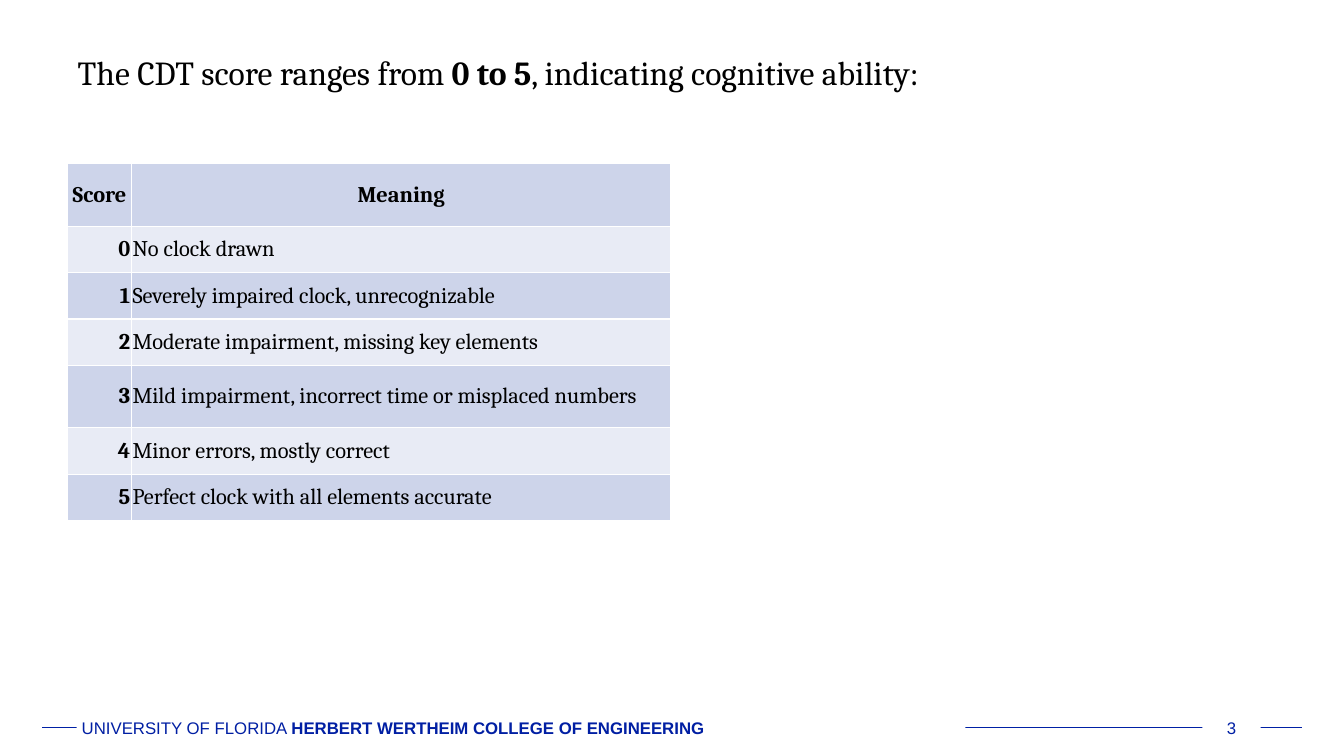
from lxml import etree
from pptx import Presentation
from pptx import util as u
from pptx.dml.color import RGBColor
from pptx.enum import shapes, text
from pptx.oxml.ns import qn

COLORS = {"ink": "000000", "white": "FFFFFF", "blue": "0020A5",
          "navy": "011FA3", "dark": "CDD4EA", "light": "E8EBF5"}
ALIGN = text.PP_ALIGN
MID = text.MSO_ANCHOR.MIDDLE


def rgb(name):
    return RGBColor.from_string(COLORS[name])


def write(para, words, font="Cambria", size=24, color="ink", bold=False):
    run = para.add_run()
    run.text = words
    run.font.name = font
    run.font.size = u.Pt(size)
    run.font.bold = bold
    run.font.color.rgb = rgb(color)


class Deck:
    def __init__(self, wide, high):
        self.prs = Presentation()
        self.prs.slide_width, self.prs.slide_height = u.Cm(wide), u.Cm(high)
        self.slide = self.prs.slides.add_slide(self.prs.slide_layouts[6])
        self.shapes = self.slide.shapes

    def line(self, x1, y1, x2, y2, color="blue", width=0.5):
        rule = self.shapes.add_connector(
            shapes.MSO_CONNECTOR.STRAIGHT, *map(u.Cm, (x1, y1, x2, y2)))
        rule.line.color.rgb = rgb(color)
        rule.line.width = u.Pt(width)
        etree.SubElement(rule._element.spPr, qn("a:effectLst"))

    def frame(self, shape, parts, align, wrap=True, before=0, **style):
        body = shape.text_frame
        body.word_wrap = wrap
        body.auto_size = text.MSO_AUTO_SIZE.SHAPE_TO_FIT_TEXT
        body.margin_left = body.margin_right = u.Cm(0.13)
        body.margin_top = body.margin_bottom = u.Cm(0.13)
        para = body.paragraphs[0]
        para.alignment = align
        para.space_before = u.Pt(before)
        for words, bold in parts:
            write(para, words, bold=bold, **style)
        return body

    def label(self, box, parts, align=ALIGN.LEFT, anchor=text.MSO_ANCHOR.TOP, **style):
        rect = self.shapes.add_shape(shapes.MSO_SHAPE.RECTANGLE, *map(u.Cm, box))
        rect.shadow.inherit = False
        rect.fill.solid()
        rect.fill.fore_color.rgb = rgb("white")
        rect.line.fill.background()
        self.frame(rect, parts, align, **style).vertical_anchor = anchor

    def title(self, box, parts):
        area = self.shapes.add_textbox(*map(u.Cm, box))
        self.frame(area, parts, ALIGN.LEFT, wrap=False, before=12)

    def edge(self, cell):
        props = cell._tc.get_or_add_tcPr()
        for spot, side in enumerate(("lnL", "lnR", "lnT", "lnB")):
            ln = etree.Element(qn("a:" + side), w=str(u.Pt(1)))
            fill = etree.SubElement(ln, qn("a:solidFill"))
            etree.SubElement(fill, qn("a:srgbClr"), val=COLORS["white"])
            props.insert(spot, ln)

    def table(self, x, y, cols, highs, rows):
        grid = self.shapes.add_table(
            len(rows), len(cols), u.Cm(x), u.Cm(y),
            u.Cm(sum(cols)), u.Cm(sum(highs))).table
        for col, wide in zip(grid.columns, cols):
            col.width = u.Cm(wide)
        for r, (row, high) in enumerate(zip(rows, highs)):
            grid.rows[r].height = u.Cm(high)
            for c, words in enumerate(row):
                cell = grid.cell(r, c)
                cell.fill.solid()
                cell.fill.fore_color.rgb = rgb("light" if r % 2 else "dark")
                cell.vertical_anchor = MID
                cell.margin_left = cell.margin_right = u.Cm(0.03)
                cell.margin_top = cell.margin_bottom = u.Cm(0.03)
                para = cell.text_frame.paragraphs[0]
                para.alignment = (ALIGN.CENTER if r == 0
                                  else ALIGN.LEFT if c else ALIGN.RIGHT)
                write(para, words, size=16, bold=r == 0 or c == 0)
                self.edge(cell)


def main():
    deck = Deck(33.87, 19.05)

    # Footer
    foot = {"font": "Arial", "size": 12}
    deck.line(1.07, 18.34, 32.82, 18.34)
    deck.label((1.93, 17.96, 22.4, 0.74),
               [("UNIVERSITY OF FLORIDA ", False),
                ("HERBERT WERTHEIM COLLEGE OF ENGINEERING", True)],
               color="navy", **foot)
    deck.label((30.3, 17.96, 1.47, 0.74), [("3", False)],
               align=ALIGN.CENTER, anchor=MID, color="blue", **foot)

    # Score table
    means = ["No clock drawn",
             "Severely impaired clock, unrecognizable",
             "Moderate impairment, missing key elements",
             "Mild impairment, incorrect time or misplaced numbers",
             "Minor errors, mostly correct",
             "Perfect clock with all elements accurate"]
    rows = [("Score", "Meaning")] + [(str(n), m) for n, m in enumerate(means)]
    highs = [1.57 if r in (0, 4) else 1.17 for r in range(len(rows))]
    deck.table(1.71, 4.13, [1.6, 13.6], highs, rows)

    # Title
    deck.title((1.83, 1.19, 21.74, 2.72),
               [("The CDT score ranges from ", False), ("0 to 5", True),
                (", indicating cognitive ability:", False)])

    deck.prs.save("out.pptx")


if __name__ == "__main__":
    main()
